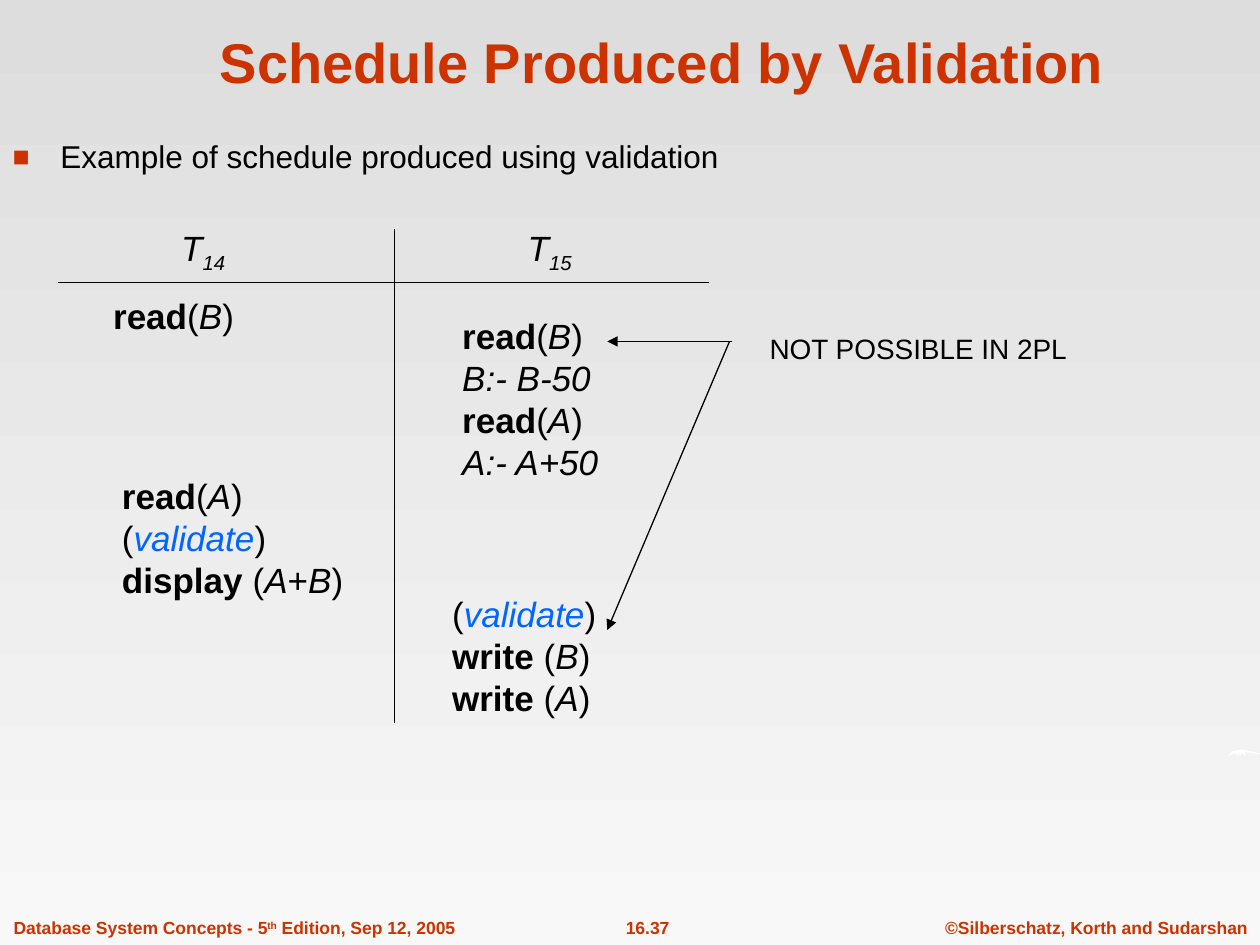
from lxml.etree import SubElement
from pptx import Presentation
from pptx.dml.color import RGBColor
from pptx.enum.shapes import MSO_CONNECTOR
from pptx.enum.text import MSO_ANCHOR, MSO_AUTO_SIZE, PP_ALIGN
from pptx.oxml.ns import qn
from pptx.util import Inches, Pt

RED, BLACK, BLUE, WHITE = "CC3300", "000000", "0066FF", "FFFFFF"
BASELINES = {"^": "30000", "_": "-25000"}


def rgb(hex_color):
    return RGBColor.from_string(hex_color)


def write_lines(frame, lines, size, hex_color=BLACK, align=PP_ALIGN.LEFT):
    """Each line is a list of (text, style); b bold, i italic, v blue, ^ and _ raise and lower."""
    for index, line in enumerate(lines):
        paragraph = frame.add_paragraph() if index else frame.paragraphs[0]
        paragraph.alignment = align
        paragraph.space_before = Pt(0)
        for text, style in line:
            run = paragraph.add_run()
            run.text = text
            run.font.name = "Arial"
            run.font.size = Pt(size)
            run.font.bold = "b" in style
            run.font.italic = "i" in style
            run.font.color.rgb = rgb(BLUE if "v" in style else hex_color)
            for mark, baseline in BASELINES.items():
                if mark in style:
                    run._r.get_or_add_rPr().set("baseline", baseline)


presentation = Presentation()
presentation.slide_width = Inches(10)
presentation.slide_height = Inches(7.5)
slide = presentation.slides.add_slide(presentation.slide_layouts[1])

background = slide.background.fill
background.gradient()
background.gradient_angle = 270
for stop, position, shade in zip(background.gradient_stops, (0, 1), ("DDDDDD", "F8F8F8")):
    stop.position = position
    stop.color.rgb = rgb(shade)

# White brush stroke at the right edge
stroke = [(9.76, 5.98), (9.79, 5.96), (9.85, 5.95), (9.92, 5.96), (10, 5.98), (9.99, 5.99),
          (9.95, 5.98), (9.88, 5.97), (9.88, 6), (9.85, 5.97), (9.85, 6), (9.82, 5.97),
          (9.83, 6), (9.8, 5.98), (9.77, 5.99), (9.75, 6.01)]
builder = slide.shapes.build_freeform(Inches(9.75), Inches(6.01))
builder.add_line_segments([(Inches(x), Inches(y)) for x, y in stroke])
brush = builder.convert_to_shape()
brush.shadow.inherit = False
brush.fill.solid()
brush.fill.fore_color.rgb = rgb(WHITE)
brush.line.fill.background()

# Title and bulleted sentence
title, body = slide.placeholders
for holder, (left, top, width, height), anchor in (
    (title, (0.84, 0.13, 8.83, 0.67), MSO_ANCHOR.BOTTOM),
    (body, (0, 1.04, 8.58, 5.33), MSO_ANCHOR.TOP),
):
    holder.left, holder.top = Inches(left), Inches(top)
    holder.width, holder.height = Inches(width), Inches(height)
    holder.text_frame.auto_size = MSO_AUTO_SIZE.NONE
    holder.text_frame.vertical_anchor = anchor
write_lines(title.text_frame, [[("Schedule Produced by Validation", "b")]], 32, RED,
            PP_ALIGN.CENTER)
write_lines(body.text_frame, [[("Example of schedule produced using validation", "")]], 18)
bullet = body.text_frame.paragraphs[0]._p.get_or_add_pPr()
bullet.set("marL", str(Inches(0.38)))
bullet.set("indent", str(-Inches(0.38)))
SubElement(SubElement(bullet, qn("a:buClr")), qn("a:srgbClr"), val=RED)
SubElement(bullet, qn("a:buSzPct"), val="90000")
SubElement(bullet, qn("a:buFont"), typeface="Arial")
SubElement(bullet, qn("a:buChar"), char="■")

# Schedule entries, the remark beside them and the footer
read_a = [("read", "b"), ("(", ""), ("A", "i"), (")", "")]
read_b = [("read", "b"), ("(", ""), ("B", "i"), (")", "")]
validate = [("(", ""), ("validate", "iv"), (")", "")]
display = [("display", "b"), (" (", ""), ("A", "i"), ("+", ""), ("B", "i"), (")", "")]
write_a = [("write", "b"), (" (", ""), ("A", "i"), (")", "")]
write_b = [("write", "b"), (" (", ""), ("B", "i"), (")", "")]
edition = [("Database System Concepts - 5", "b"), ("th", "b^"), (" Edition, Sep 12, 2005", "b")]
left_align, center = PP_ALIGN.LEFT, PP_ALIGN.CENTER

for left, top, width, height, lines, size, hex_color, align in (
    (1.34, 1.75, 0.6, 0.48, [[("T", "i"), ("14", "i_")]], 20, BLACK, left_align),
    (4.09, 1.75, 0.6, 0.48, [[("T", "i"), ("15", "i_")]], 20, BLACK, left_align),
    (0.8, 2.29, 1.2, 0.44, [read_b], 20, BLACK, left_align),
    (3.57, 2.45, 1.35, 1.44, [read_b, [("B:- B-50", "i")], read_a, [("A:- A+50", "i")]],
     20, BLACK, left_align),
    (0.87, 3.72, 2, 1.1, [read_a, validate, display], 20, BLACK, left_align),
    (3.49, 4.65, 1.4, 1.1, [validate, write_b, write_a], 20, BLACK, left_align),
    (6.01, 2.58, 2.94, 0.37, [[("NOT POSSIBLE IN 2PL", "")]], 16, BLACK, left_align),
    (0.01, 7.23, 3.8, 0.27, [edition], 10, RED, left_align),
    (4.61, 7.23, 1.06, 0.27, [[("16.37", "b")]], 10, RED, center),
    (7.36, 7.23, 2.64, 0.27, [[("©Silberschatz, Korth and Sudarshan", "b")]], 10, RED,
     PP_ALIGN.RIGHT),
):
    box = slide.shapes.add_textbox(Inches(left), Inches(top), Inches(width), Inches(height))
    box.text_frame.word_wrap = True
    box.text_frame.auto_size = MSO_AUTO_SIZE.SHAPE_TO_FIT_TEXT
    write_lines(box.text_frame, lines, size, hex_color, align)

# Schedule rules, then arrows from the remark
for x1, y1, x2, y2, has_arrowhead in (
    (0.46, 2.24, 5.63, 2.24, False),
    (3.13, 1.82, 3.13, 5.74, False),
    (5.81, 2.71, 4.82, 2.71, True),
    (5.79, 2.71, 4.82, 5, True),
):
    connector = slide.shapes.add_connector(
        MSO_CONNECTOR.STRAIGHT, Inches(x1), Inches(y1), Inches(x2), Inches(y2))
    connector.line.color.rgb = rgb(BLACK)
    connector.line.width = Pt(0.75)
    if has_arrowhead:
        SubElement(connector.line._get_or_add_ln(), qn("a:tailEnd"), type="triangle")
    SubElement(connector._element.spPr, qn("a:effectLst"))

presentation.save("out.pptx")
